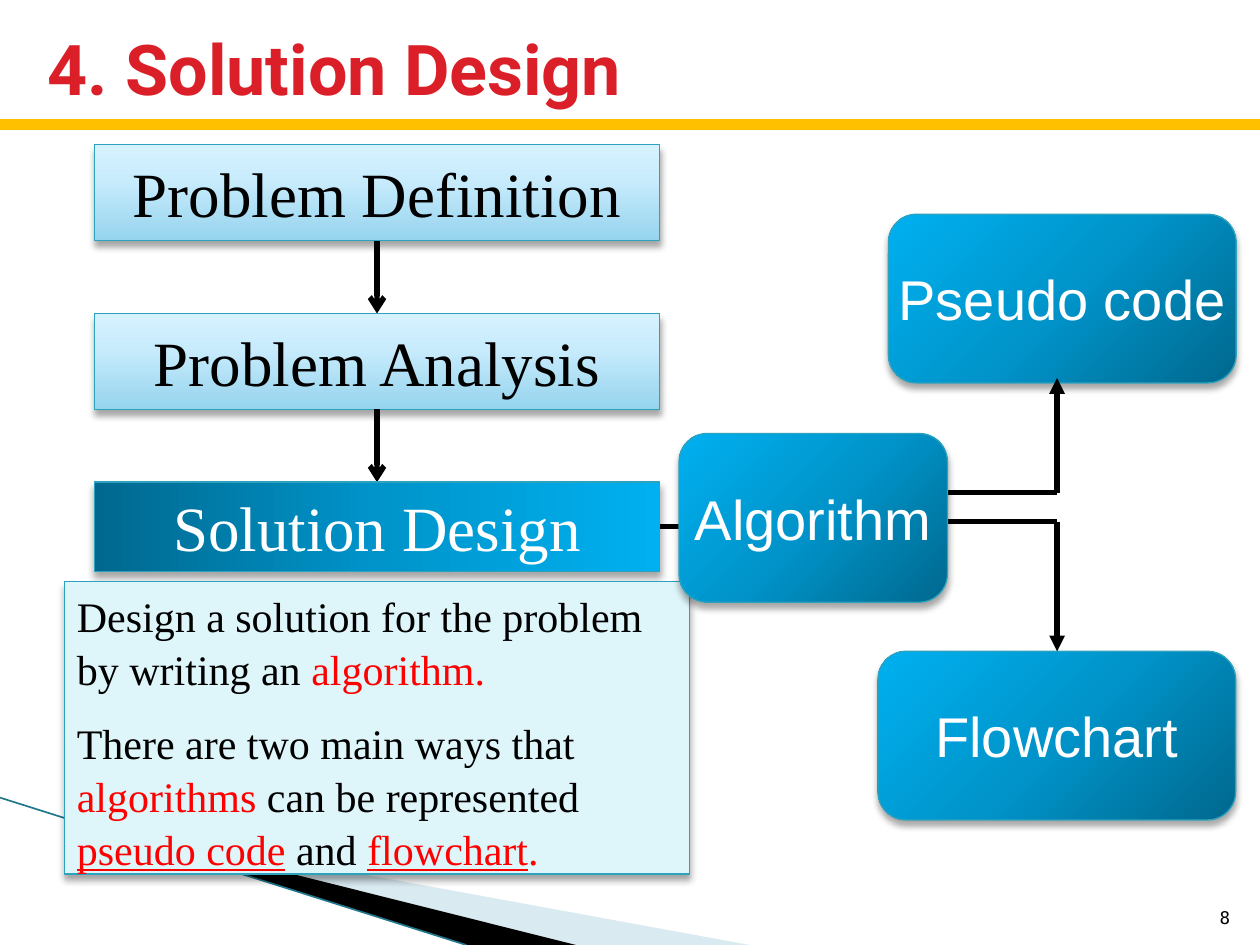
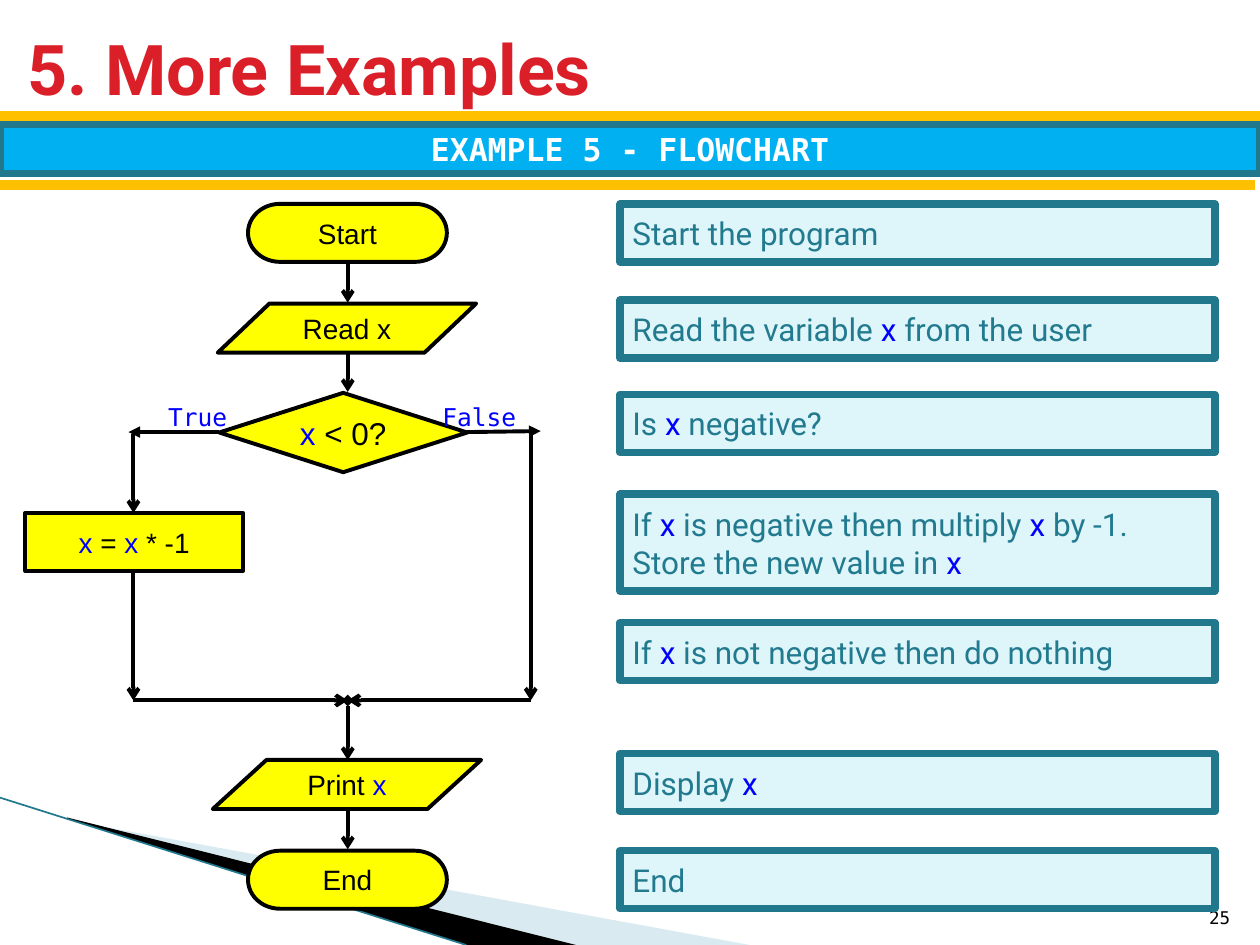
"""Build two lesson slides: solution design and a flowchart example."""
from dataclasses import dataclass

from lxml import etree
from pptx import Presentation
from pptx.dml.color import RGBColor
from pptx.enum.shapes import MSO_CONNECTOR, MSO_SHAPE
from pptx.enum.text import MSO_ANCHOR, MSO_AUTO_SIZE, PP_ALIGN
from pptx.oxml.ns import qn
from pptx.util import Cm, Pt

RECT = MSO_SHAPE.RECTANGLE
ROUNDED = MSO_SHAPE.FLOWCHART_ALTERNATE_PROCESS
TERMINATOR = MSO_SHAPE.FLOWCHART_TERMINATOR
DATA = MSO_SHAPE.FLOWCHART_DATA
DECISION = MSO_SHAPE.FLOWCHART_DECISION
PROCESS = MSO_SHAPE.FLOWCHART_PROCESS
STRAIGHT = MSO_CONNECTOR.STRAIGHT
LEFT, CENTER, RIGHT = PP_ALIGN.LEFT, PP_ALIGN.CENTER, PP_ALIGN.RIGHT
TOP, MIDDLE, BOTTOM = MSO_ANCHOR.TOP, MSO_ANCHOR.MIDDLE, MSO_ANCHOR.BOTTOM
NO_FIT = MSO_AUTO_SIZE.NONE
TITLE_ONLY = 5
WIDTH, HEIGHT = 25.4, 19.05


@dataclass(frozen=True)
class Theme:
    black: str = "000000"
    white: str = "FFFFFF"
    title: str = "DA1F28"
    band: str = "FFC000"
    banner: str = "00B0F0"
    frame: str = "21788D"
    outline: str = "2DA2BF"
    pale: str = "DEF5FA"
    note: str = "227A8F"
    node: str = "FFFF00"
    variable: str = "0000FF"
    keyword: str = "FF0000"
    wedge: str = "A0CBDC"
    light: tuple = ((0, "96D4EE"), (65, "C9ECFC"), (100, "D7F2FF"))
    deep: tuple = ((0, "00688E"), (50, "0094CA"), (100, "00B0F0"))
    sans: str = "Arial"
    serif: str = "Times New Roman"
    mono: str = "DejaVu Sans Mono"
    head: str = "Roboto"
    title_size: int = 40
    step_size: int = 36
    box_size: int = 32
    body_size: int = 24
    note_size: int = 18
    node_size: int = 16
    label_size: int = 14
    number_size: int = 10


def rgb(color):
    return RGBColor.from_string(color)


def add_color(parent, color, alpha=None):
    clr = etree.SubElement(parent, qn("a:srgbClr"), val=color)
    if alpha is not None:
        etree.SubElement(clr, qn("a:alpha"), val=str(alpha * 1000))


def write(tf, text, size, font, color, accent=None, bold=False, align=LEFT,
          anchor=MIDDLE, wrap=True, before=0, spacing=None):
    """Fill a text frame; `backticks` mark accented runs, a leading _ underlines them."""
    tf.word_wrap, tf.vertical_anchor, tf.auto_size = wrap, anchor, NO_FIT
    for i, line in enumerate(text.split("\n")):
        p = tf.add_paragraph() if i else tf.paragraphs[0]
        p.alignment = align
        if i and before:
            p.space_before = Pt(before)
        if spacing:
            p.line_spacing = spacing
        for j, part in enumerate(line.split("`")):
            if not part:
                continue
            marked = j % 2 == 1
            r = p.add_run()
            r.text = part.removeprefix("_")
            r.font.size, r.font.name, r.font.bold = Pt(size), font, bold
            r.font.color.rgb = rgb(accent if marked else color)
            if part.startswith("_"):
                r.font.underline = True


class Deck:
    def __init__(self, theme):
        self.theme = theme
        self.prs = Presentation()
        self.prs.slide_width, self.prs.slide_height = Cm(WIDTH), Cm(HEIGHT)
        self.slide = None

    def new_slide(self, title, number, title_left, band_y):
        t = self.theme
        self.slide = self.prs.slides.add_slide(self.prs.slide_layouts[TITLE_ONLY])
        self.wedge([(1.4, 16.54), (15.11, 19.05), (11.58, 19.05), (1.4, 16.51)],
                   t.wedge, alpha=40)
        self.wedge([(1.35, 16.48), (11.61, 19.05), (9.4, 19.05), (1.37, 16.51)],
                   t.black)
        self.line(0, 16.08, 9.4, HEIGHT, color=t.frame, width=0.95)
        self.text(str(number), 24.03, 17.81, 1.02, 1.02, size=t.number_size,
                  color=t.black, align=RIGHT, anchor=BOTTOM)
        self.band(band_y)
        sp = self.slide.shapes.title
        sp.left, sp.top = Cm(title_left), Cm(0.28)
        sp.width, sp.height = Cm(24.56 - title_left), Cm(2.16)
        write(sp.text_frame, title, t.title_size, t.head, t.title, bold=True)

    def wedge(self, points, color, alpha=None):
        pts = [(Cm(x), Cm(y)) for x, y in points]
        fb = self.slide.shapes.build_freeform(*pts[0])
        fb.add_line_segments(pts[1:])
        sp = fb.convert_to_shape()
        sp.shadow.inherit = False
        sp.line.fill.background()
        sp.fill.solid()
        sp.fill.fore_color.rgb = rgb(color)
        if alpha is not None:
            fill = sp._element.spPr.find(qn("a:solidFill"))
            fill.remove(fill[0])
            add_color(fill, color, alpha)

    def line(self, x1, y1, x2, y2, color=None, width=2.25, head=None, tail=None):
        sp = self.slide.shapes.add_connector(STRAIGHT, Cm(x1), Cm(y1), Cm(x2), Cm(y2))
        sp.line.color.rgb = rgb(color or self.theme.black)
        sp.line.width = Pt(width)
        spPr = sp._element.spPr
        ln = spPr.find(qn("a:ln"))
        for tag, kind in (("a:headEnd", head), ("a:tailEnd", tail)):
            if kind:
                etree.SubElement(ln, qn(tag), type=kind)
        etree.SubElement(spPr, qn("a:effectLst"))

    def band(self, y, right=WIDTH):
        self.line(0, y, right, y, color=self.theme.band, width=6)

    def text(self, text, x, y, w, h, **fmt):
        sp = self.slide.shapes.add_textbox(Cm(x), Cm(y), Cm(w), Cm(h))
        write(sp.text_frame, text, font=self.theme.mono, **fmt)

    def shape(self, kind, x, y, w, h, fill, line, width):
        sp = self.slide.shapes.add_shape(kind, Cm(x), Cm(y), Cm(w), Cm(h))
        sp.shadow.inherit = False
        sp.line.color.rgb = rgb(line)
        sp.line.width = Pt(width)
        sp.fill.solid()
        sp.fill.fore_color.rgb = rgb(fill)
        return sp

    def raised(self, kind, x, y, w, h, fill=None, stops=None, angle=0):
        t = self.theme
        sp = self.shape(kind, x, y, w, h, fill or t.pale, t.outline, 0.75)
        spPr = sp._element.spPr
        if stops:
            sp.fill.gradient()
            sp.fill.gradient_angle = angle
            gs_list = spPr.find(qn("a:gradFill")).find(qn("a:gsLst"))
            for gs in list(gs_list):
                gs_list.remove(gs)
            for pos, color in stops:
                add_color(etree.SubElement(gs_list, qn("a:gs"), pos=str(pos * 1000)), color)
        shadow = etree.SubElement(spPr.find(qn("a:effectLst")), qn("a:outerShdw"),
                                  blurRad=str(Pt(4)), dist=str(Pt(3)),
                                  dir="5400000", rotWithShape="0")
        add_color(shadow, t.black, 35)
        return sp.text_frame

    def step(self, text, y, h, stops, angle, color):
        tf = self.raised(RECT, 1.9, y, 11.4, h, stops=stops, angle=angle)
        write(tf, text, self.theme.step_size, self.theme.serif, color, align=CENTER)

    def choice(self, text, x, y, w):
        t = self.theme
        tf = self.raised(ROUNDED, x, y, w, 3.4, stops=t.deep, angle=135)
        write(tf, text, t.box_size, t.sans, t.white, align=CENTER, wrap=False)

    def node(self, kind, text, x, y, w, h, size=None):
        t = self.theme
        sp = self.shape(kind, x, y, w, h, t.node, t.black, 2.25)
        write(sp.text_frame, text, size or t.node_size, t.sans, t.black,
              accent=t.variable, align=CENTER, wrap=False)

    def remark(self, text, y, h=1.17):
        t = self.theme
        sp = self.shape(RECT, 12.5, y, 11.99, h, t.pale, t.frame, 4.33)
        write(sp.text_frame, text, t.note_size, t.head, t.note, accent=t.variable)

    def banner(self, text):
        t = self.theme
        sp = self.shape(RECT, 0, 2.51, WIDTH, 0.99, t.banner, t.frame, 4.33)
        write(sp.text_frame, text, t.note_size, t.mono, t.white, bold=True, align=CENTER)


def solution_design(deck):
    t = deck.theme
    deck.new_slide("4. Solution Design", 8, title_left=0.71, band_y=2.51)

    top, pitch, height = 2.92, 3.4, 1.93
    for i, text in enumerate(("Problem Definition", "Problem Analysis")):
        y = top + i * pitch
        deck.step(text, y, height, t.light, 90, t.black)
        deck.line(7.6, y + height, 7.6, y + pitch, width=3, tail="arrow")
    deck.step("Solution Design", top + 2 * pitch, 1.8, t.deep, 0, t.white)

    tf = deck.raised(RECT, 1.3, 11.73, 12.6, 5.89)
    write(tf, "Design a solution for the problem by writing an `algorithm.`\n"
              "There are two main ways that `algorithms` can be represented "
              "`_pseudo code` and `_flowchart``.`",
          t.body_size, t.serif, t.black, accent=t.keyword, anchor=TOP,
          before=12, spacing=1.05)

    deck.choice("Pseudo code", 17.91, 4.32, 7.01)
    deck.choice("Flowchart", 17.7, 13.13, 7.21)
    deck.line(13.31, 10.62, 14.71, 10.62, width=3)
    for x, y, tip in ((19.1, 9.93, 7.62), (18.9, 10.52, 13.13)):
        deck.line(x, y, 21.31, y, width=3)
        deck.line(21.31, y, 21.31, tip, width=3, tail="triangle")
    deck.choice("Algorithm", 13.69, 8.74, 5.41)


def more_examples(deck):
    t = deck.theme
    deck.new_slide("5. More Examples", 25, title_left=0.3, band_y=2.34)
    deck.band(3.73, right=25.3)
    deck.banner("EXAMPLE 5 - FLOWCHART")

    axis, true_x, false_x, join_y = 7.01, 2.69, 10.7, 14.12
    for y1, y2 in ((5.31, 6.1), (7.09, 7.9), (16.31, 17.12)):
        deck.line(axis, y1, axis, y2, tail="arrow")
    for x, y1, y2 in ((true_x, 8.74, 10.34), (true_x, 11.51, join_y),
                      (false_x, 8.74, join_y)):
        deck.line(x, y1, x, y2, tail="arrow")
    for x in (true_x, false_x):
        deck.line(x, join_y, axis, join_y, tail="arrow")
    deck.line(axis, join_y, axis, 15.32, head="diamond", tail="arrow")

    deck.node(TERMINATOR, "Start", 5, 4.11, 4.01, 1.17)
    deck.node(DATA, "Read x", 4.39, 6.12, 5.21, 0.99)
    deck.node(DECISION, "`x` < 0?", 4.42, 7.92, 5, 1.6, size=t.note_size)
    deck.node(PROCESS, "`x` = `x` * -1", 0.51, 10.34, 4.39, 1.17)
    deck.node(DATA, "Print `x`", 4.29, 15.32, 5.41, 0.99)
    deck.node(TERMINATOR, "End", 5, 17.15, 4.01, 1.17)

    deck.line(4.42, 8.71, 2.59, 8.71, tail="triangle")
    deck.line(9.4, 8.71, 10.9, 8.69, tail="triangle")
    for text, x, w in (("True", 2.97, 2.03), ("False", 8.61, 2.11)):
        deck.text(text, x, 7.98, w, 0.86, size=t.label_size, color=t.variable,
                  align=CENTER, anchor=TOP)

    for text, y in (("Start the program", 4.11),
                    ("Read the variable `x` from the user", 6.05),
                    ("Is `x` negative?", 7.95),
                    ("If `x` is not negative then do nothing", 12.55),
                    ("Display `x`", 15.19),
                    ("End", 17.15)):
        deck.remark(text, y)
    deck.remark("If `x` is negative then multiply `x` by -1.\n"
                "Store the new value in `x`", 9.96, h=1.96)


def main():
    deck = Deck(Theme())
    solution_design(deck)
    more_examples(deck)
    deck.prs.save("out.pptx")


if __name__ == "__main__":
    main()
